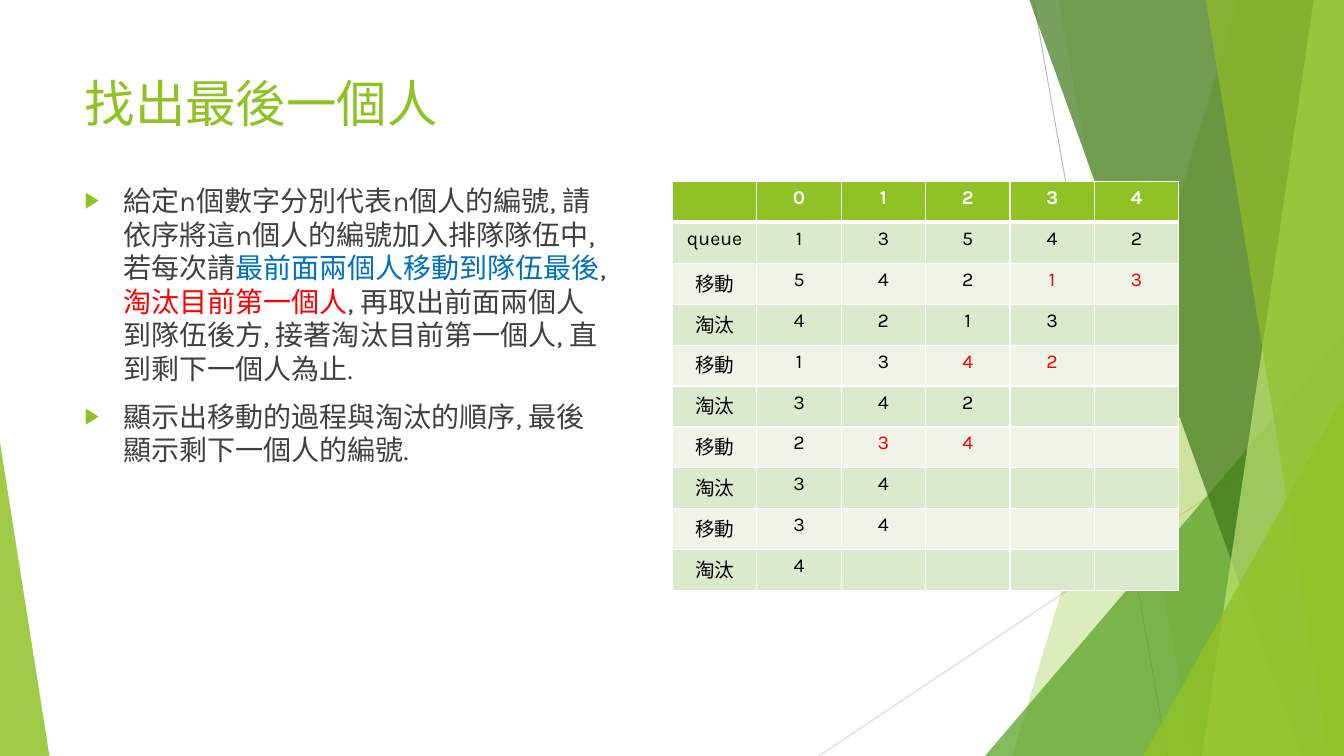
from dataclasses import dataclass

from lxml.etree import SubElement
from pptx import Presentation
from pptx.dml.color import RGBColor as RGB
from pptx.enum.shapes import MSO_CONNECTOR as LINK, MSO_SHAPE as KIND
from pptx.enum.text import MSO_ANCHOR as ANCHOR, MSO_AUTO_SIZE as AUTO, PP_ALIGN as ALIGN
from pptx.oxml import parse_xml
from pptx.oxml.ns import nsdecls, qn
from pptx.util import Inches, Pt


@dataclass(frozen=True)
class Theme:
    font: str = "Karla"
    green: str = "90C226"
    leaf: str = "54A021"
    moss: str = "3F7819"
    lime: str = "C0E474"
    white: str = "FFFFFF"
    black: str = "000000"
    gray: str = "404040"
    red: str = "FF0000"
    blue: str = "0070C0"
    mist: str = "D9D9D9"
    steel: str = "BFBFBF"
    odd: str = "DBE9CD"
    even: str = "EEF4E8"
    head: int = 36
    body: int = 20
    cell: int = 14


WIDE, HIGH = 13.33, 7.5
STEPS = [
    ("", "0 1 2 3 4", ()),
    ("queue", "1 3 5 4 2", ()),
    ("移動", "5 4 2 1 3", (4, 5)),
    ("淘汰", "4 2 1 3", ()),
    ("移動", "1 3 4 2", (3, 4)),
    ("淘汰", "3 4 2", ()),
    ("移動", "2 3 4", (2, 3)),
    ("淘汰", "3 4", ()),
    ("移動", "3 4", ()),
    ("淘汰", "4", ()),
]


def write(para, text, size, color, font, bold=False):
    run = para.add_run()
    run.text = text
    run.font.size = Pt(size)
    run.font.name = font
    run.font.bold = bold
    run.font.color.rgb = RGB.from_string(color)


class Page:
    def __init__(self, deck, theme):
        self.theme = theme
        self.slide = deck.slides.add_slide(deck.slide_layouts[1])
        self.shapes = self.slide.shapes

    def line(self, start, end, color):
        link = self.shapes.add_connector(LINK.STRAIGHT, *map(Inches, start + end))
        link.line.color.rgb = RGB.from_string(color)
        link.line.width = Pt(0.75)
        SubElement(link._element.spPr, qn("a:effectLst"))

    def tint(self, shape, color, alpha):
        shape.shadow.inherit = False
        shape.line.fill.background()
        shape.fill.solid()
        shape.fill.fore_color.rgb = RGB.from_string(color)
        tone = shape._element.spPr.find(qn("a:solidFill"))[0]
        SubElement(tone, qn("a:alpha")).set("val", str(alpha * 1000))

    def pane(self, top, foot, color, alpha):
        path = self.shapes.build_freeform(Inches(top), 0)
        edge = [(WIDE, 0), (WIDE, HIGH), (foot, HIGH)]
        path.add_line_segments([(Inches(x), Inches(y)) for x, y in edge], close=True)
        self.tint(path.convert_to_shape(), color, alpha)

    def wedge(self, left, top, width, tip, color, alpha):
        box = map(Inches, (left, top, width, HIGH - top))
        shape = self.shapes.add_shape(KIND.ISOSCELES_TRIANGLE, *box)
        shape.adjustments[0] = tip
        self.tint(shape, color, alpha)

    def place(self, index, left, top, width, height):
        holder = self.slide.placeholders[index]
        holder.left, holder.top = Inches(left), Inches(top)
        holder.width, holder.height = Inches(width), Inches(height)
        self.shapes._spTree.append(holder._element)
        frame = holder.text_frame
        frame.word_wrap = True
        frame.auto_size = AUTO.NONE
        frame.vertical_anchor = ANCHOR.TOP
        return frame

    def title(self, text, *box):
        para = self.place(0, *box).paragraphs[0]
        para.alignment = ALIGN.LEFT
        write(para, text, self.theme.head, self.theme.green, self.theme.font)

    def list(self, items, *box):
        frame = self.place(1, *box)
        for i, item in enumerate(items):
            para = frame.add_paragraph() if i else frame.paragraphs[0]
            prop = para._p.get_or_add_pPr()
            prop.set("marL", str(Inches(0.38)))
            prop.set("indent", str(Inches(-0.38)))
            tone = SubElement(prop, qn("a:buClr"))
            SubElement(tone, qn("a:srgbClr")).set("val", self.theme.green)
            SubElement(prop, qn("a:buSzPct")).set("val", "80000")
            SubElement(prop, qn("a:buChar")).set("char", "▶")
            para.space_before = Pt(10 if i else 0)
            for text, color in item:
                write(para, text, self.theme.body, color, self.theme.font)

    def cell(self, cell, text, fill, color, bold, rims):
        cell.fill.solid()
        cell.fill.fore_color.rgb = RGB.from_string(fill)
        prop = cell._tc.get_or_add_tcPr()
        for i, (side, width) in enumerate(zip("LRTB", rims)):
            prop.insert(i, parse_xml(
                f'<a:ln{side} {nsdecls("a")} w="{Pt(width)}"><a:solidFill>'
                f'<a:srgbClr val="{self.theme.white}"/></a:solidFill></a:ln{side}>'))
        para = cell.text_frame.paragraphs[0]
        para.alignment = ALIGN.CENTER
        if text:
            write(para, text, self.theme.cell, color, self.theme.font, bold=bold)
        else:
            SubElement(para._p, qn("a:endParaRPr")).set("sz", str(self.theme.cell * 100))

    def table(self, steps, *box):
        look = self.theme
        grid = self.shapes.add_table(len(steps), 6, *map(Inches, box)).table
        for r, (name, queue, moved) in enumerate(steps):
            fill = (look.odd if r % 2 else look.even) if r else look.green
            base = look.black if r else look.white
            rims = (1, 1, 3 if r == 1 else 1, 1 if r else 3)
            texts = [name, *queue.split()]
            for c in range(6):
                text = texts[c] if c < len(texts) else ""
                color = look.red if c in moved else base
                self.cell(grid.cell(r, c), text, fill, color, r == 0, rims)


def main():
    deck = Presentation()
    deck.slide_width, deck.slide_height = Inches(WIDE), Inches(HIGH)
    look = Theme()
    page = Page(deck, look)

    page.line((10.25, 0), (11.58, HIGH), look.steel)
    page.line((WIDE, 4.03), (8.12, HIGH), look.mist)
    page.pane(12.28, 10.04, look.green, 30)
    page.pane(10.5, 11.83, look.green, 20)
    page.wedge(9.77, 3.33, 3.56, 1, look.leaf, 72)
    page.pane(10.21, 12.91, look.moss, 70)
    page.pane(13.03, 11.92, look.lime, 70)
    page.pane(11.96, 13.18, look.green, 65)
    page.wedge(11.34, 3.93, 1.99, 1, look.green, 80)
    page.wedge(0, 4.39, 0.49, 0, look.green, 85)

    page.title("找出最後一個人", 0.74, 0.67, 9.4, 1.44)
    page.list([
        [("給定n個數字分別代表n個人的編號, 請依序將這n個人的編號加入排隊隊伍中, 若每次請", look.gray),
         ("最前面兩個人移動到隊伍最後", look.blue),
         (", ", look.gray),
         ("淘汰目前第一個人", look.red),
         (", 再取出前面兩個人到隊伍後方, 接著淘汰目前第一個人, 直到剩下一個人為止.", look.gray)],
        [("顯示出移動的過程與淘汰的順序, 最後顯示剩下一個人的編號.", look.gray)],
    ], 0.74, 1.77, 5.41, 4.84)
    page.table(STEPS, 6.67, 1.8, 5.02, 4.06)
    deck.save("out.pptx")


if __name__ == "__main__":
    main()
